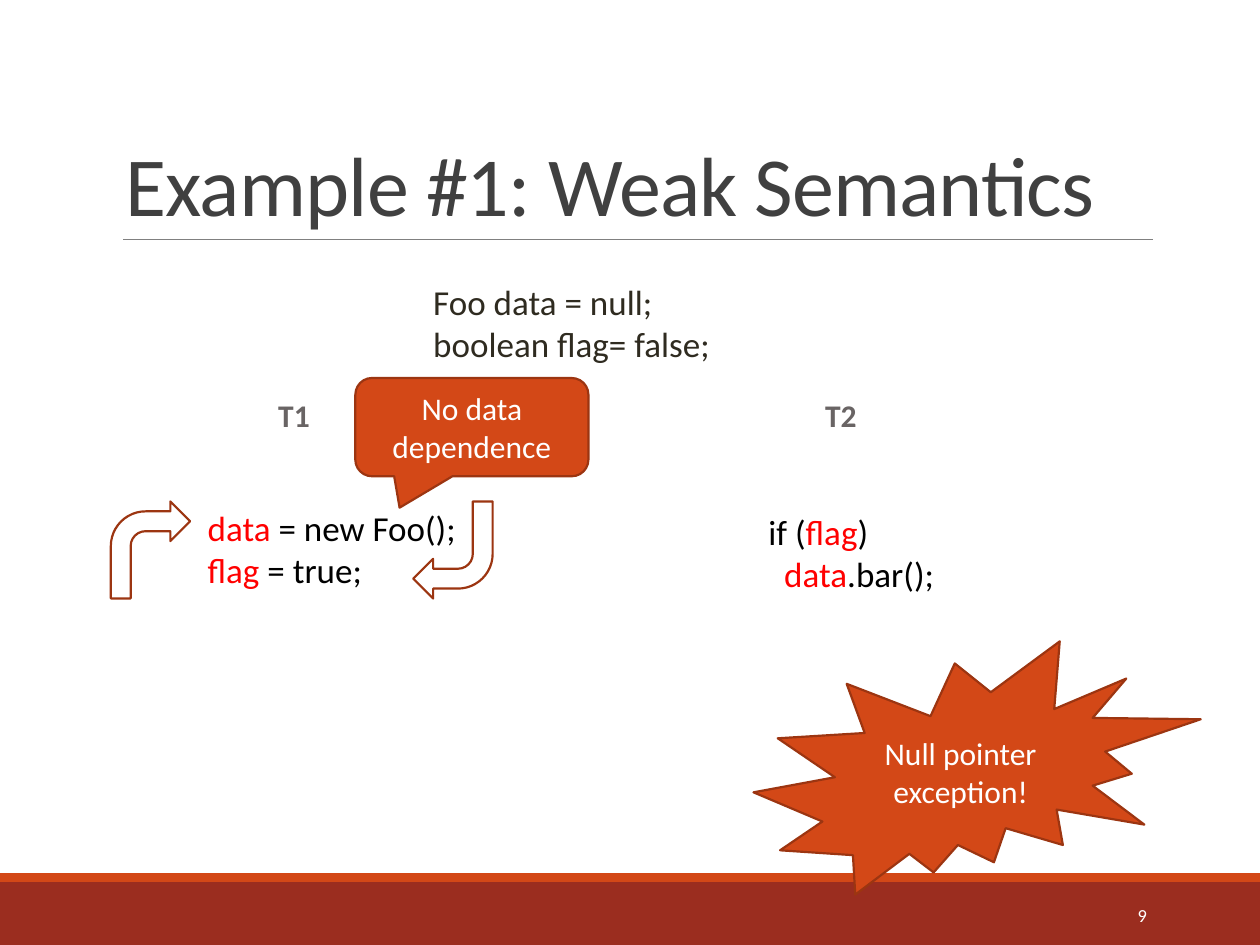
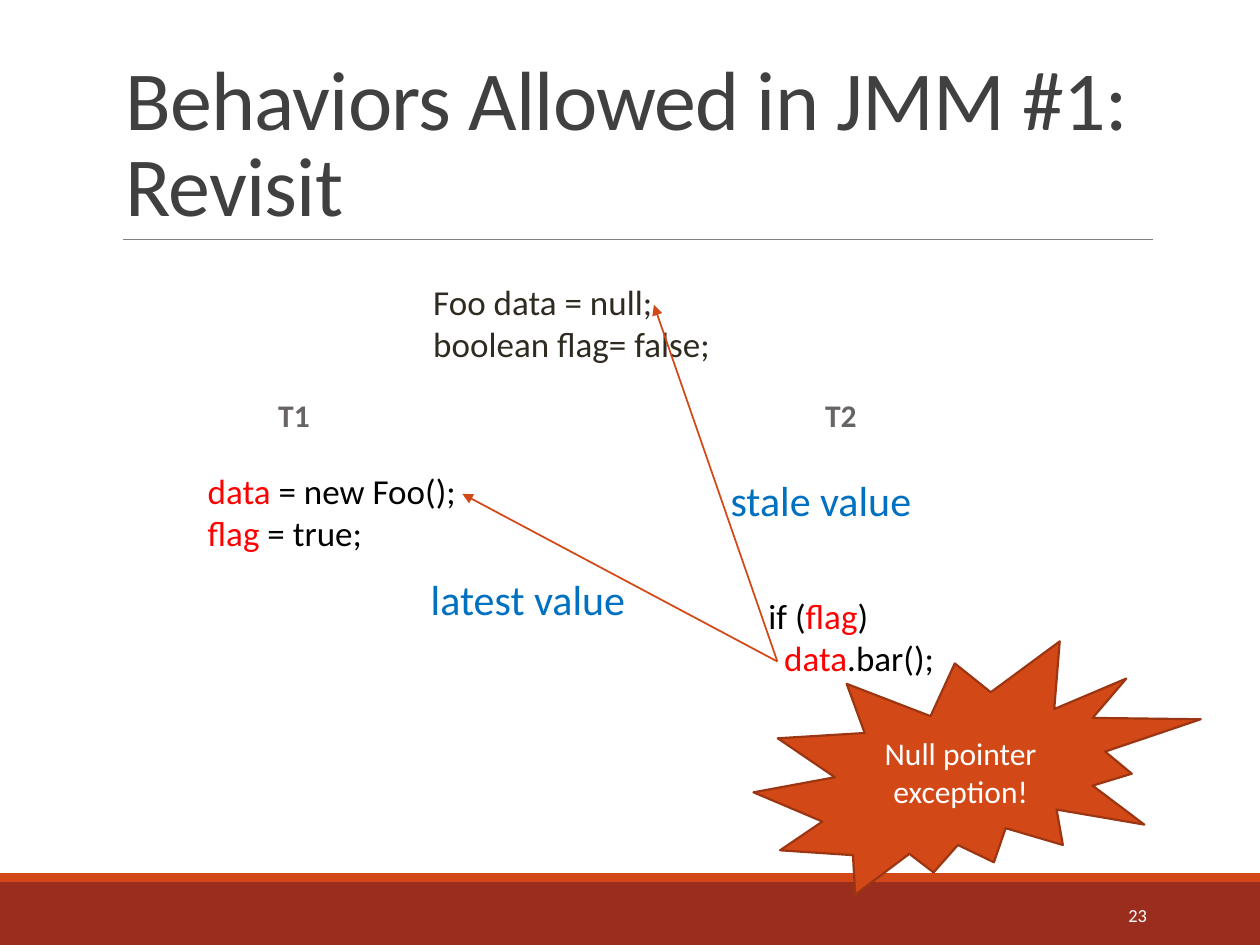
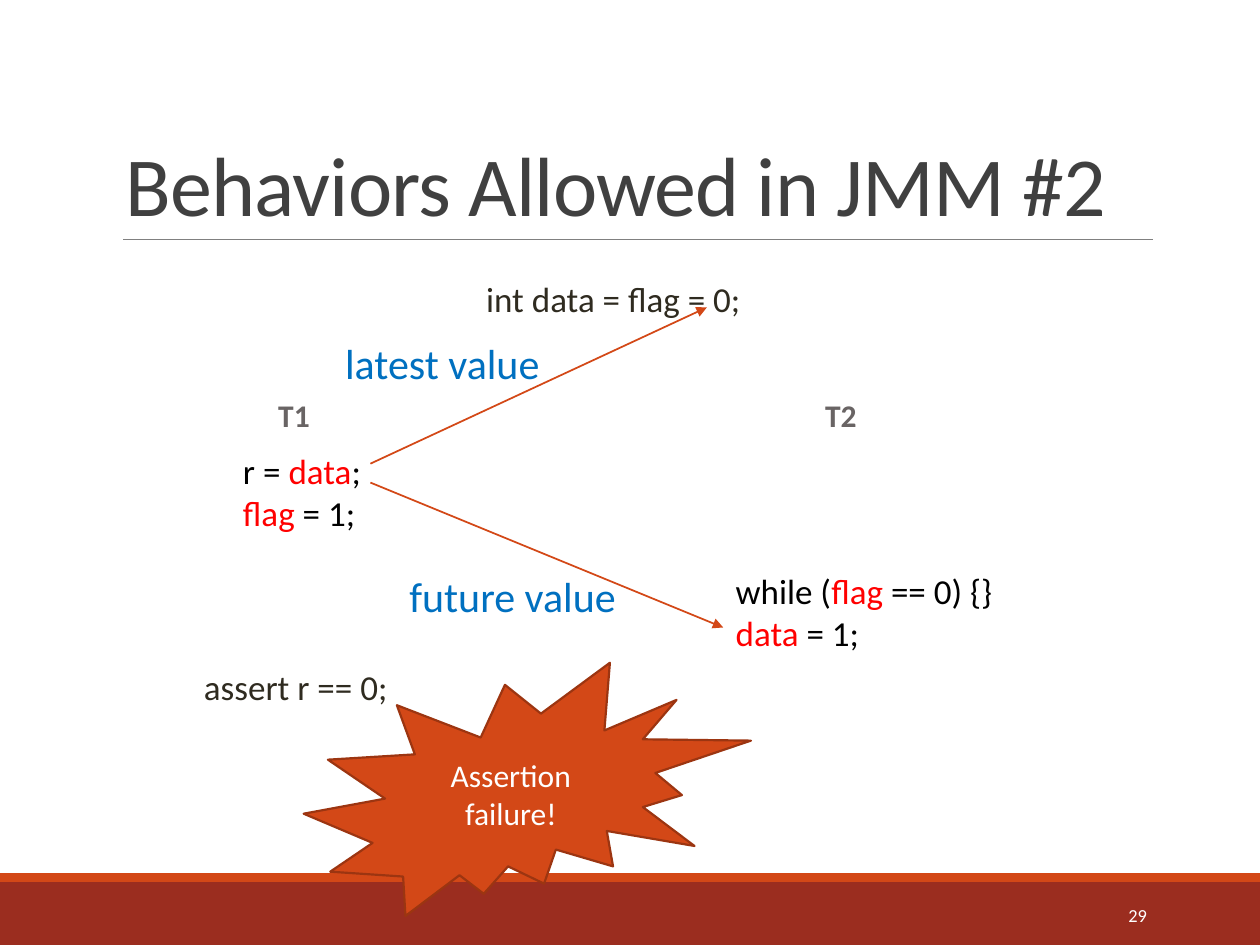
from pptx import Presentation, util as u
from pptx.dml.color import RGBColor
from pptx.enum import shapes as es, text as et
from pptx.oxml.ns import qn
from lxml import etree

# Look: the grid has 100 columns and 75 rows
COLS, ROWS = 100, 75
FONT = "Calibri"
HEX = {"band": "9B2D1F", "main": "D34817", "edge": "9C3511", "rule": "808080",
       "title": "404040", "head": "696464", "init": "2F2B20", "note": "0070C0",
       "code": "000000", "var": "FF0000", "white": "FFFFFF"}
KIND = es.MSO_SHAPE
MID, LOW = et.MSO_ANCHOR.MIDDLE, et.MSO_ANCHOR.BOTTOM
MIDDLE, RIGHT = et.PP_ALIGN.CENTER, et.PP_ALIGN.RIGHT
SIZE = {"head": 18, "init": 20, "code": 20, "note": 24}
TAB = 1.25  # code indent, in columns

# Code: lines of runs; *name* is a shared variable, a leading > indents
WRITE = ["*data* = new Foo();", "*flag* = true;"]
READ = ["if (*flag*)", ">*data*.bar();"]
FOO = ["Foo data = null;", "boolean flag= false;"]
HEADS = [("text", "head", (21.1, 30.9, 5.3, 4), ["T1"]),
         ("text", "head", (64.5, 30.9, 5.2, 4), ["T2"])]
INIT = ("text", "init", (33.4, 21.8, 24.4, 11.1), FOO)
NULL = ("burst", (59.8, 50.9), "Null pointer exception!")
SOURCE = (61.7, 52.5)

# Content: title, page number, parts from back to front
SLIDES = [
    ("Example #1: Weak Semantics", 9, [
        ("turn", (8.8, 39.8), 0),
        ("turn", (32.8, 39.8), 180),
        ("call", (28.2, 30, 18.5, 7.8), "No data dependence"),
        *HEADS,
        ("text", "code", (15.5, 39.7, 23.6, 11.1), WRITE),
        INIT, NULL,
        ("text", "code", (60, 40, 22.8, 7.7), READ)]),
    ("Behaviors Allowed in JMM #1: Revisit", 23, [
        NULL, *HEADS,
        ("text", "code", (15.5, 36.8, 22.5, 11.1), WRITE),
        ("text", "code", (60, 46.7, 22.8, 7.7), READ),
        INIT,
        ("arrow", SOURCE, (51.9, 24.2)),
        ("arrow", SOURCE, (36.7, 39.2)),
        ("text", "note", (57, 37.2, 16.6, 5), ["stale value"]),
        ("text", "note", (33.2, 45, 18.5, 5), ["latest value"])]),
    ("Behaviors Allowed in JMM #2", 29, [
        ("text", "code", (18.3, 35.2, 14.2, 7.7), ["r = *data*;", "*flag* = 1;"]),
        *HEADS,
        ("text", "init", (37.6, 21.5, 25.3, 4.4), ["int data = flag = 0;"]),
        ("text", "code", (57.4, 44.7, 23.8, 7.7), ["while (*flag* == 0) {}", "*data* = 1;"]),
        ("text", "init", (15.2, 52.3, 17, 4.4), ["assert r == 0;"]),
        ("arrow", (29.4, 38.3), (57.4, 49.8)),
        ("text", "note", (26.4, 26.3, 18.5, 5), ["latest value"]),
        ("text", "note", (31.5, 44.8, 18.5, 5), ["future value"]),
        ("arrow", (29.4, 36.8), (56.1, 24.4)),
        ("burst", (24.1, 52.6), "Assertion failure!")]),
]

deck = Presentation()
deck.slide_width, deck.slide_height = u.Inches(10), u.Inches(7.5)
UNIT = deck.slide_width / COLS


# Helpers
def grid(*nums):
    return [round(n * UNIT) for n in nums]


def tint(name):
    return RGBColor.from_string(HEX[name])


def add_run(para, words, size, color, bold=False):
    run = para.add_run()
    run.text = words
    font = run.font
    font.name, font.size, font.bold = FONT, u.Pt(size), bold
    font.color.rgb = tint(color)
    return run


def add_box(page, box):
    frame = page.shapes.add_textbox(*grid(*box)).text_frame
    frame.word_wrap = True
    return frame


def add_form(page, kind, box, fill=None, edge=None, words=None):
    form = page.shapes.add_shape(kind, *grid(*box))
    form.shadow.inherit = False
    if fill:
        form.fill.solid()
        form.fill.fore_color.rgb = tint(fill)
    else:
        form.fill.background()
    if edge:
        form.line.color.rgb = tint(edge)
        form.line.width = u.Pt(1.25)
    else:
        form.line.fill.background()
    if words:
        frame = form.text_frame
        frame.word_wrap, frame.vertical_anchor = True, MID
        para = frame.paragraphs[0]
        para.alignment = MIDDLE
        add_run(para, words, 18, "white")
    return form


def add_line(page, start, end, color, width, head=False):
    line = page.shapes.add_connector(es.MSO_CONNECTOR.STRAIGHT, *grid(*start, *end))
    line.line.color.rgb = tint(color)
    line.line.width = u.Pt(width)
    if head:
        etree.SubElement(line.line._get_or_add_ln(), qn("a:tailEnd"), type="triangle")
    etree.SubElement(line._element.spPr, qn("a:effectLst"))


# Parts
def text(page, role, box, lines):
    frame = add_box(page, box)
    for i, words in enumerate(lines):
        para = frame.add_paragraph() if i else frame.paragraphs[0]
        if words.startswith(">"):
            para._p.get_or_add_pPr().set("marL", str(grid(TAB)[0]))
        for j, piece in enumerate(words.lstrip(">").split("*")):
            if piece:
                add_run(para, piece, SIZE[role], "var" if j % 2 else role, role == "head")


def burst(page, spot, words):
    add_form(page, KIND.EXPLOSION2, (*spot, 35.5, 20.1), "main", "edge", words)


def turn(page, spot, angle):
    add_form(page, KIND.BENT_ARROW, (*spot, 6.3, 7.7), edge="edge").rotation = angle


def call(page, box, words):
    form = add_form(page, KIND.ROUNDED_RECTANGULAR_CALLOUT, box, "main", "edge", words)
    for i, value in enumerate((-0.31, 0.82, 0.17)):
        form.adjustments[i] = value


def arrow(page, start, end):
    add_line(page, start, end, "main", 1, True)


def base(page, title, number):
    add_form(page, KIND.RECTANGLE, (0, 70, COLS, ROWS - 70), "band")
    add_form(page, KIND.RECTANGLE, (0, 69.3, COLS, 0.7), "main")
    add_line(page, (9.8, 19), (91.5, 19), "rule", 0.5)
    frame = add_box(page, (9, 3.1, 82.5, 15.9))
    frame.vertical_anchor = LOW
    para = frame.paragraphs[0]
    para.line_spacing = 0.85
    run = add_run(para, title, 48, "title")
    run._r.get_or_add_rPr().set("spc", "-50")
    frame = add_box(page, (81.2, 70.6, 10.8, 4))
    frame.vertical_anchor = MID
    para = frame.paragraphs[0]
    para.alignment = RIGHT
    add_run(para, str(number), 10.5, "white")


# Build
DRAW = {"text": text, "burst": burst, "turn": turn, "call": call, "arrow": arrow}
for title, number, parts in SLIDES:
    page = deck.slides.add_slide(deck.slide_layouts[6])
    base(page, title, number)
    for kind, *args in parts:
        DRAW[kind](page, *args)

deck.save("out.pptx")
